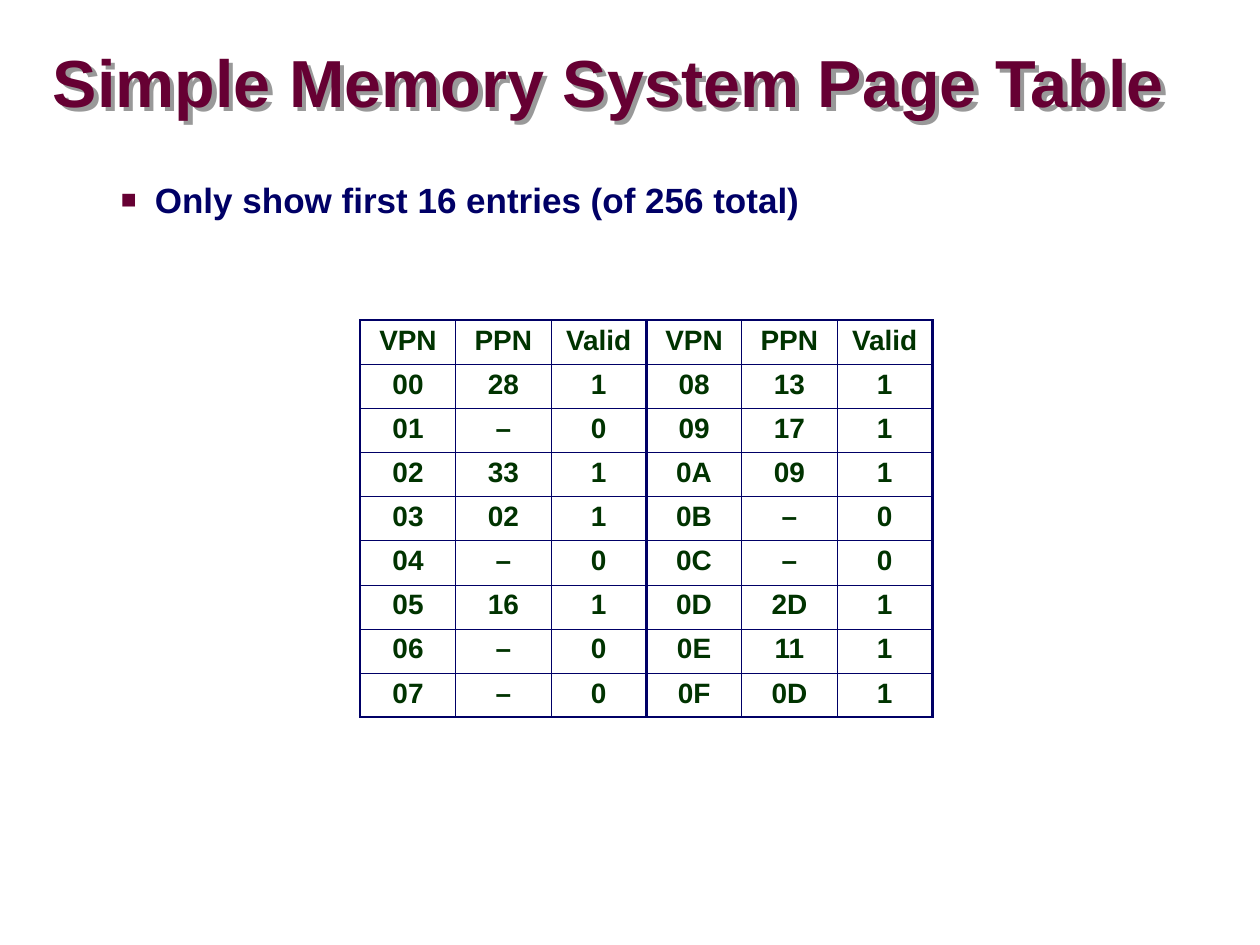
from lxml import etree
from pptx import Presentation
from pptx.dml.color import RGBColor
from pptx.enum import text
from pptx.oxml import ns
from pptx.util import Pt

COLORS = {"title": "660033", "body": "000066", "cell": "003300",
          "border": "000066", "shadow": "999999"}
FONT = "Arial"
THIN, THICK = 0.45, 1.47
HEADER = ["VPN", "PPN", "Valid"]
LEFT_ENTRIES = ["00 28 1", "01 – 0", "02 33 1", "03 02 1",
                "04 – 0", "05 16 1", "06 – 0", "07 – 0"]
RIGHT_ENTRIES = ["08 13 1", "09 17 1", "0A 09 1", "0B – 0",
                 "0C – 0", "0D 2D 1", "0E 11 1", "0F 0D 1"]


def add_xml(parent, tag, **attrs):
    return etree.SubElement(parent, ns.qn(tag), {k: str(v) for k, v in attrs.items()})


def add_run(p, words, size, color):
    r = p.add_run()
    r.text = words
    r.font.name = FONT
    r.font.size = Pt(size)
    r.font.bold = True
    r.font.color.rgb = RGBColor.from_string(COLORS[color])


def place(sp, left, top, width, height):
    sp.left, sp.top, sp.width, sp.height = map(Pt, (left, top, width, height))


def set_frame(tf, anchor, horizontal, top, bottom):
    tf.word_wrap = True
    tf.auto_size = text.MSO_AUTO_SIZE.NONE
    tf.vertical_anchor = anchor
    tf.margin_left = tf.margin_right = Pt(horizontal)
    tf.margin_top, tf.margin_bottom = Pt(top), Pt(bottom)


def add_shadow(sp):
    effects = add_xml(sp._element.spPr, "a:effectLst")
    shadow = add_xml(effects, "a:outerShdw", blurRad=0, dist=Pt(3.5),
                     dir=45 * 60000, algn="tl", rotWithShape=0)
    add_xml(shadow, "a:srgbClr", val=COLORS["shadow"])


def fill_title(sp, words):
    place(sp, 30.2, 26.6, 638.6, 45.4)
    sp.fill.background()
    add_shadow(sp)
    set_frame(sp.text_frame, text.MSO_ANCHOR.MIDDLE, 0, 0, 0)
    p = sp.text_frame.paragraphs[0]
    p.alignment = text.PP_ALIGN.LEFT
    p.line_spacing = 0.87
    add_run(p, words, 38, "title")


def add_bullet(p):
    pPr = p._p.get_or_add_pPr()
    pPr.set("marL", str(Pt(58.3)))
    pPr.set("indent", str(Pt(-19.4)))
    add_xml(add_xml(pPr, "a:buClr"), "a:srgbClr", val=COLORS["title"])
    add_xml(pPr, "a:buSzPct", val=75000)
    add_xml(pPr, "a:buFont", typeface=FONT)
    add_xml(pPr, "a:buChar", char="■")


def fill_body(sp, words):
    place(sp, 23, 95.8, 654.5, 36)
    set_frame(sp.text_frame, text.MSO_ANCHOR.TOP, 7.2, 6, 3.6)
    p = sp.text_frame.paragraphs[0]
    p.level = 1
    add_bullet(p)
    p.space_before = Pt(0)
    add_run(p, words, 20, "body")


def add_borders(cell, widths):
    tcPr = cell._tc.get_or_add_tcPr()
    for side, width in zip("LRTB", widths):
        line = add_xml(tcPr, f"a:ln{side}", w=Pt(width))
        add_xml(add_xml(line, "a:solidFill"), "a:srgbClr", val=COLORS["border"])


def add_page_table(s, rows):
    n_rows, n_cols = len(rows), len(rows[0])
    col_width, row_height = 54.5, 25.2
    table = s.shapes.add_table(n_rows, n_cols, Pt(205.9), Pt(183),
                               Pt(col_width * n_cols), Pt(row_height * n_rows)).table
    table.first_row = table.horz_banding = False
    for column in table.columns:
        column.width = Pt(col_width)
    for i, row in enumerate(rows):
        table.rows[i].height = Pt(row_height)
        for j, words in enumerate(row):
            cell = table.cell(i, j)
            group_col = j % len(HEADER)
            edges = (group_col == 0, group_col == len(HEADER) - 1,
                     i == 0, i == n_rows - 1)
            add_borders(cell, [THICK if edge else THIN for edge in edges])
            cell.fill.background()
            p = cell.text_frame.paragraphs[0]
            p.alignment = text.PP_ALIGN.CENTER
            p.line_spacing = 0.95
            add_run(p, words, 16, "cell")


def main():
    prs = Presentation()
    prs.slide_width, prs.slide_height = Pt(720), Pt(540)
    s = prs.slides.add_slide(prs.slide_layouts[1])
    fill_title(s.shapes.title, "Simple Memory System Page Table")
    fill_body(s.placeholders[1], "Only show first 16 entries (of 256 total)")
    entries = [a.split() + b.split() for a, b in zip(LEFT_ENTRIES, RIGHT_ENTRIES)]
    add_page_table(s, [HEADER * 2] + entries)
    prs.save("out.pptx")


if __name__ == "__main__":
    main()
